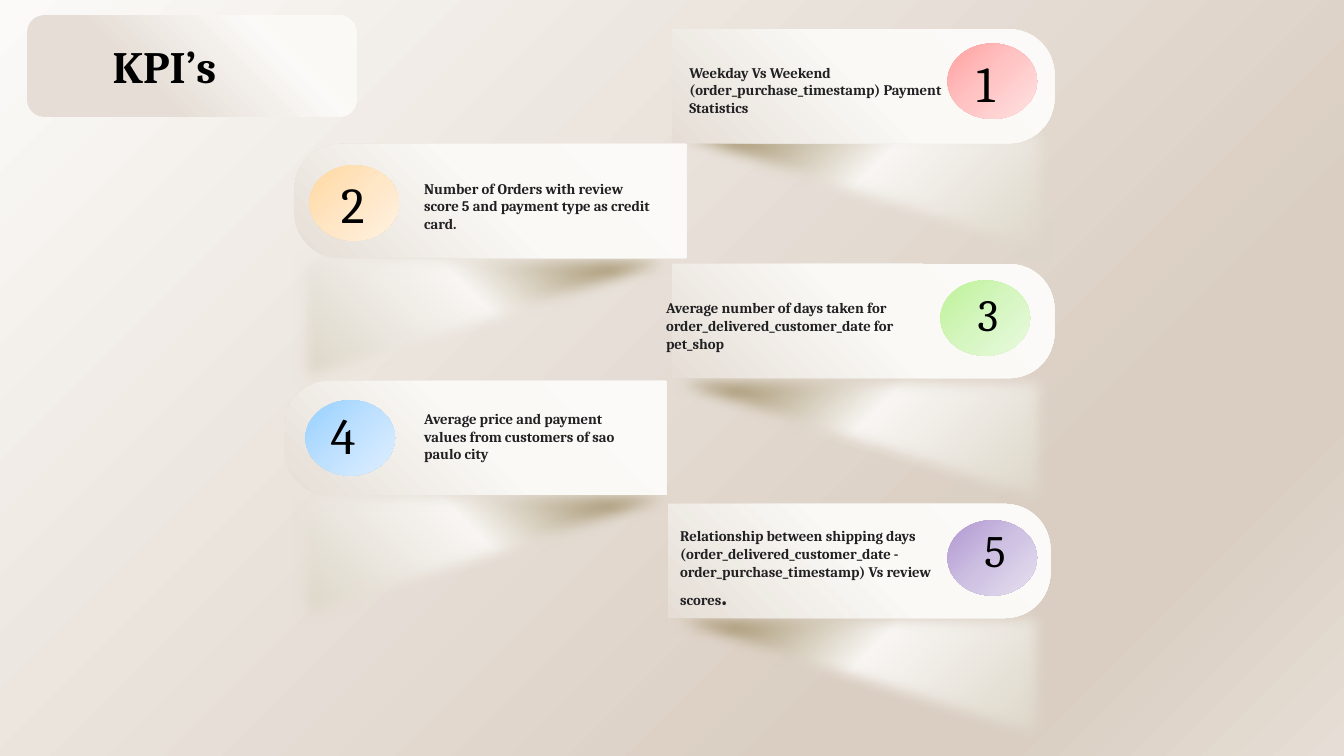
import pptx
import pptx.dml.color
import pptx.enum.shapes
import pptx.enum.text
import pptx.oxml
import pptx.oxml.ns
import pptx.util
from lxml import etree

Pt = pptx.util.Pt
RGB = pptx.dml.color.RGBColor
MSO = pptx.enum.shapes.MSO_SHAPE
qn = pptx.oxml.ns.qn

FONT = "Cambria"
BLACK = RGB(0x00, 0x00, 0x00)
INK = RGB(0x21, 0x21, 0x23)
CREAM = RGB(0xFB, 0xFA, 0xF8)
IVORY = RGB(0xFA, 0xF9, 0xF6)
SAND = RGB(0xE6, 0xDE, 0xD6)
TAN = RGB(0xDA, 0xCE, 0xC2)
BRONZE = RGB(0xAD, 0x9D, 0x7B)

PAGE = [(0, CREAM), (74, TAN), (83, TAN), (100, SAND)]
SHADE = [(8, RGB(0xDE, 0xD8, 0xCA)), (32, RGB(0xEF, 0xEB, 0xE5)),
         (46, RGB(0xF8, 0xF6, 0xF3)), (72, BRONZE), (85, BRONZE), (89, SAND, 0)]
BANNER = [(0, CREAM), (25, CREAM), (48, IVORY), (100, SAND)]
TITLE = [(0, CREAM), (24, IVORY), (25, CREAM), (65, SAND)]
RED = [RGB(0xFF, 0xA0, 0xA0), RGB(0xFF, 0xC5, 0xC5), RGB(0xFF, 0xE3, 0xE3)]
ORANGE = [RGB(0xFF, 0xD8, 0xA0), RGB(0xFF, 0xE6, 0xC5), RGB(0xFF, 0xF2, 0xE3)]
GREEN = [RGB(0xBE, 0xF2, 0x97), RGB(0xD5, 0xF6, 0xC0), RGB(0xEA, 0xFA, 0xE0)]
BLUE = [RGB(0x96, 0xD0, 0xFF), RGB(0xBF, 0xE1, 0xFF), RGB(0xE0, 0xEF, 0xFF)]
PURPLE = [RGB(0xB1, 0x97, 0xD2), RGB(0xCE, 0xC1, 0xE2), RGB(0xE7, 0xE1, 0xF0)]


def set_gradient(fill, element, stops, radial=False):
    """Fill with (position, colour[, opacity]) stops, at 45 degrees or from the top right corner."""
    fill.gradient()
    grad = element.find(".//" + qn("a:gradFill"))
    for child in list(grad):
        grad.remove(child)
    grad.set("rotWithShape", "1")
    stop_list = etree.SubElement(grad, qn("a:gsLst"))
    for position, colour, *opacity in stops:
        stop = etree.SubElement(stop_list, qn("a:gs"), pos=str(position * 1000))
        clr = etree.SubElement(stop, qn("a:srgbClr"), val=str(colour))
        for value in opacity:
            etree.SubElement(clr, qn("a:alpha"), val=str(value * 1000))
    if radial:
        path_el = etree.SubElement(grad, qn("a:path"), path="circle")
        etree.SubElement(path_el, qn("a:fillToRect"), l="100000", b="100000")
    else:
        etree.SubElement(grad, qn("a:lin"), ang="2700000", scaled="1")


def add_text(x, y, w, h, runs, colour=INK, bold=True, centred=False):
    """Add a one-paragraph text box; runs are (text, size) pairs."""
    tf = s.shapes.add_textbox(Pt(x), Pt(y), Pt(w), Pt(h)).text_frame
    tf.word_wrap = True
    p = tf.paragraphs[0]
    if centred:
        tf.vertical_anchor = pptx.enum.text.MSO_ANCHOR.MIDDLE
        p.alignment = pptx.enum.text.PP_ALIGN.CENTER
    for text, size in runs:
        r = p.add_run()
        r.text = text
        r.font.name = FONT
        r.font.size = Pt(size)
        r.font.bold = bold
        r.font.color.rgb = colour


prs = pptx.Presentation()
prs.slide_width, prs.slide_height = Pt(960), Pt(540)
s = prs.slides.add_slide(prs.slide_layouts[6])
set_gradient(s.background.fill, s._element, PAGE)

# Soft triangular shades under the banners: left, top, on the right side
for x, y, right in [(209.5, 346.3, False), (415.4, 433.4, True), (418.3, 87.1, True),
                    (209.5, 177.8, False), (416.9, 264.2, True)]:
    sp = s.shapes.add_shape(MSO.RIGHT_TRIANGLE, Pt(x), Pt(y), Pt(334), Pt(106.6))
    sp.line.fill.background()
    set_gradient(sp.fill, sp._element, SHADE)
    sp._element.spPr.xfrm.set("flipV", "1")
    if right:
        sp._element.spPr.xfrm.set("flipH", "1")
    sp.shadow.inherit = False
    effects = sp._element.spPr.find(qn("a:effectLst"))
    etree.SubElement(effects, qn("a:softEdge"), rad="127000")

# Banners: centre x, centre y, length, on the right side
THICK = 81.5
for cx, cy, length, right in [(616.7, 229.3, 273, True), (339.5, 312.8, 273, False),
                              (350.3, 143.6, 280, False), (613.8, 400.7, 273, True),
                              (616.7, 61.6, 273, True)]:
    sp = s.shapes.add_shape(MSO.ROUND_2_SAME_RECTANGLE, Pt(cx - THICK / 2),
                            Pt(cy - length / 2), Pt(THICK), Pt(length))
    sp.adjustments[0], sp.adjustments[1] = 0.396, 0
    sp.rotation = 90 if right else 270
    if right:
        sp._element.spPr.xfrm.set("flipH", "1")
    sp.shadow.inherit = False
    sp.line.fill.background()
    set_gradient(sp.fill, sp._element, BANNER, radial=True)

# KPIs: badge left, top, colours; digit centre x, y, size; text left, top, width, height, runs
kpis = [
    ((676.8, 31), RED, (704, 59, 36), (485.3, 41.8, 198, 45),
     [("Weekday Vs Weekend (order_purchase_timestamp) Payment Statistics", 10.5)]),
    ((221, 118), ORANGE, (252, 145.4, 36), (295.9, 124.6, 178.6, 45),
     [("Number of Orders with review score 5 and payment type as credit card.", 10.5)]),
    ((671.8, 200.2), GREEN, (705.7, 224, 32), (468.7, 210.2, 213.8, 45),
     [("Average number of days taken for order_delivered_customer_date for pet_shop", 10.5)]),
    ((218.2, 285.8), BLUE, (245, 310.4, 36), (295.9, 289.4, 159, 58),
     [("Average price and payment values from customers of sao paulo city", 10.5)]),
    ((676.8, 371.5), PURPLE, (710.7, 392.6, 32), (478.8, 373, 208, 67),
     [("Relationship between shipping days (order_delivered_customer_date - "
       "order_purchase_timestamp) Vs review scores", 10.5), (".", 18)]),
]
for number, (badge, colours, digit, box, runs) in enumerate(kpis, 1):
    sp = s.shapes.add_shape(MSO.OVAL, Pt(badge[0]), Pt(badge[1]), Pt(64), Pt(54))
    sp.shadow.inherit = False
    sp.line.fill.background()
    set_gradient(sp.fill, sp._element, list(zip((0, 50, 100), colours)))
    add_text(*box, runs)
    cx, cy, size = digit
    add_text(cx - 30, cy - 28, 60, 56, [(str(number), size)], BLACK, False, True)

sp = s.shapes.add_shape(MSO.ROUNDED_RECTANGLE, Pt(19.4), Pt(10.8), Pt(235.4), Pt(72.7))
sp.shadow.inherit = False
sp.line.fill.background()
set_gradient(sp.fill, sp._element, TITLE, radial=True)
add_text(73.4, 23.8, 170, 46, [("KPI’s", 32)], BLACK)

prs.save("out.pptx")
